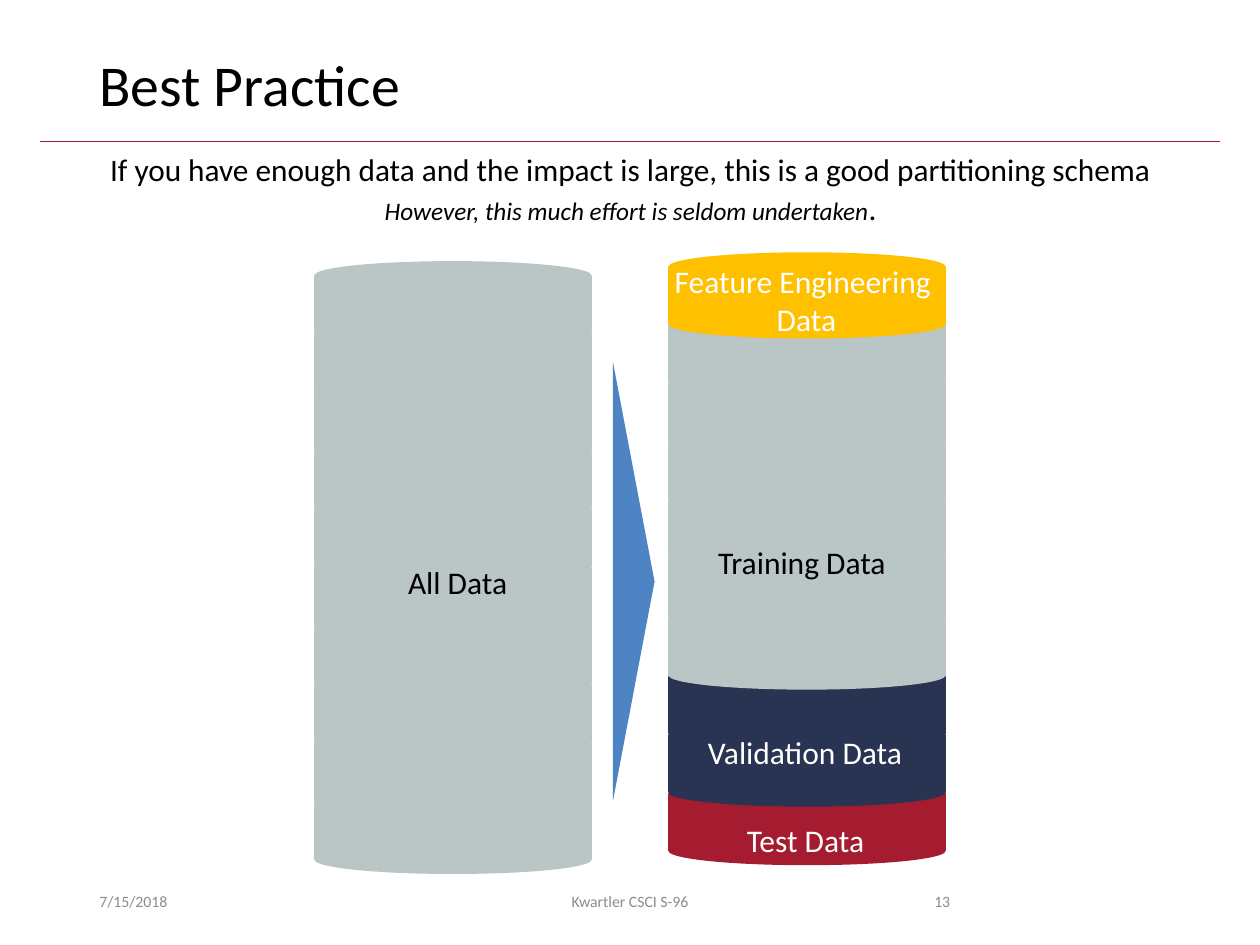
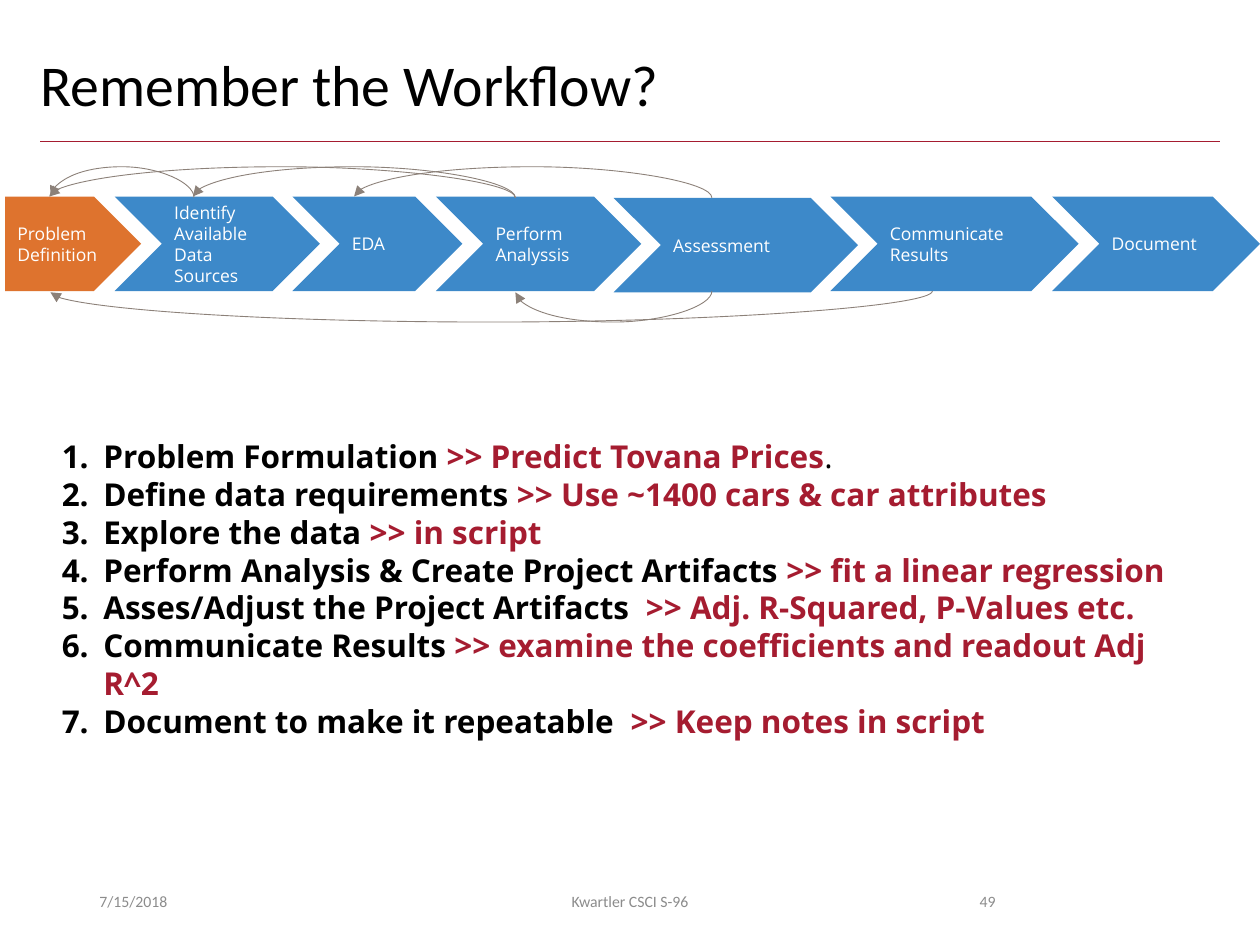
import pptx
import pptx.dml.color
import pptx.enum.shapes
import pptx.enum.text
import pptx.oxml
import pptx.oxml.ns
import pptx.oxml.xmlchemy
import pptx.util

Inches = pptx.util.Inches
Pt = pptx.util.Pt
MSO_SHAPE = pptx.enum.shapes.MSO_SHAPE
MSO_CONNECTOR = pptx.enum.shapes.MSO_CONNECTOR
MSO_ANCHOR = pptx.enum.text.MSO_ANCHOR
MSO_AUTO_SIZE = pptx.enum.text.MSO_AUTO_SIZE
PP_ALIGN = pptx.enum.text.PP_ALIGN
OxmlElement = pptx.oxml.xmlchemy.OxmlElement
qn = pptx.oxml.ns.qn
RGB = pptx.dml.color.RGBColor.from_string

COLOURS = {
    "black": "000000",
    "white": "FFFFFF",
    "crimson": "A51C30",
    "footer": "8C8C8C",
    "data": "BAC5C6",
    "feature": "FFC000",
    "validation": "293352",
    "triangle": "4E84C4",
    "first step": "DE732E",
    "step": "3D89C9",
    "loop": "8C8179",
}


def add_run(paragraph, text, size, colour, font="Calibri", bold=False, italic=False):
    run = paragraph.add_run()
    run.text = text
    run.font.size = Pt(size)
    run.font.name = font
    run.font.bold = bold
    run.font.italic = italic
    run.font.color.rgb = RGB(COLOURS[colour])


def add_label(slide, box, lines, size, colour, align=PP_ALIGN.LEFT, wrap=False):
    """Add a text box with one paragraph per line."""
    label = slide.shapes.add_textbox(*map(Inches, box))
    frame = label.text_frame
    frame.word_wrap = wrap
    if wrap:
        frame.vertical_anchor = MSO_ANCHOR.MIDDLE
    else:
        frame.auto_size = MSO_AUTO_SIZE.SHAPE_TO_FIT_TEXT
    for index, line in enumerate(lines):
        paragraph = frame.paragraphs[0] if index == 0 else frame.add_paragraph()
        paragraph.alignment = align
        add_run(paragraph, line, size, colour)


presentation = pptx.Presentation()
presentation.slide_width = Inches(10)
presentation.slide_height = Inches(7.5)

# Shared frame: title, rule, footer and an unstyled body placeholder
slides = []
for title_text, title_left, title_width, number, number_left, body_box in [
    ("Best Practice", 0.69, 8.62, "13", 6.7, (0.14, 1.22, 9.73, 0.65)),
    ("Remember the Workflow?", 0.22, 9.09, "49", 7.06, (0.22, 3.37, 9.24, 2.29)),
]:
    slide = presentation.slides.add_slide(presentation.slide_layouts[1])
    slides.append(slide)
    title, body = slide.placeholders
    for placeholder, box in [
        (title, (title_left, 0.4, title_width, 0.65)),
        (body, body_box),
    ]:
        placeholder.left, placeholder.top, placeholder.width, placeholder.height = map(Inches, box)
        placeholder.text_frame.auto_size = MSO_AUTO_SIZE.NONE
        placeholder.text_frame.vertical_anchor = MSO_ANCHOR.TOP
    paragraph = title.text_frame.paragraphs[0]
    paragraph.alignment = PP_ALIGN.LEFT
    paragraph.line_spacing = 0.9
    add_run(paragraph, title_text, 33, "black")

    rule = slide.shapes.add_connector(
        MSO_CONNECTOR.STRAIGHT, Inches(0.32), Inches(1.12), Inches(9.68), Inches(1.12)
    )
    rule.line.color.rgb = RGB(COLOURS["crimson"])
    rule.line.width = Pt(0.5)
    rule._element.spPr.append(OxmlElement("a:effectLst"))

    for text, left, width, align in [
        ("7/15/2018", 0.69, 2.25, PP_ALIGN.LEFT),
        ("Kwartler CSCI S-96", 3.31, 3.38, PP_ALIGN.CENTER),
        (number, number_left, 0.94, PP_ALIGN.RIGHT),
    ]:
        add_label(slide, (left, 6.95, width, 0.4), [text], 9, "footer", align, wrap=True)

practice_slide, workflow_slide = slides

# Slide 1: partitioning schema
frame = practice_slide.placeholders[1].text_frame
message = [
    [("If you have enough data and the impact is large, this is a good partitioning schema", 17.9, False)],
    [("However, this much effort is seldom undertaken", 14.4, True), (".", 17.9, False)],
]
for index, runs in enumerate(message):
    paragraph = frame.paragraphs[0] if index == 0 else frame.add_paragraph()
    properties = paragraph._p.get_or_add_pPr()
    properties.set("marL", str(Inches(0.19)))
    properties.set("indent", str(-Inches(0.19)))
    properties.append(OxmlElement("a:buNone"))
    paragraph.alignment = PP_ALIGN.CENTER
    paragraph.line_spacing = 0.7
    paragraph.space_before = Pt(7.5 if index else 0)
    for text, size, italic in runs:
        add_run(paragraph, text, size, "black", italic=italic)

# Disks are stacked from the bottom up
DISK_PITCH = 4.18 / 9
all_data = ["data"] * 10
partitions = ["crimson"] + ["validation"] * 2 + ["data"] * 6 + ["feature"]
for left, bottom_disk_top, disk_colours in [(2.5, 6.26, all_data), (5.31, 6.19, partitions)]:
    for index, colour in enumerate(disk_colours):
        disk = practice_slide.shapes.add_shape(
            MSO_SHAPE.FLOWCHART_MAGNETIC_DISK,
            Inches(left), Inches(bottom_disk_top - index * DISK_PITCH),
            Inches(2.19), Inches(0.67),
        )
        disk.shadow.inherit = False
        disk.fill.solid()
        disk.fill.fore_color.rgb = RGB(COLOURS[colour])
        disk.line.color.rgb = RGB(COLOURS[colour])
        disk.line.width = Pt(1)

triangle = practice_slide.shapes.add_shape(
    MSO_SHAPE.ISOSCELES_TRIANGLE, Inches(3.29), Inches(4.45), Inches(3.48), Inches(0.33)
)
triangle.rotation = 90
triangle.shadow.inherit = False
triangle.fill.solid()
triangle.fill.fore_color.rgb = RGB(COLOURS["triangle"])
triangle.line.fill.background()

for box, lines, colour, align in [
    ((3.14, 4.42, 1, 0.4), ["All Data"], "black", PP_ALIGN.LEFT),
    ((5.24, 2.03, 2.32, 0.71), ["Feature Engineering ", "Data"], "white", PP_ALIGN.CENTER),
    ((5.6, 4.26, 1.61, 0.4), ["Training Data"], "black", PP_ALIGN.LEFT),
    ((5.52, 5.77, 1.76, 0.4), ["Validation Data"], "white", PP_ALIGN.LEFT),
    ((5.83, 6.47, 1.14, 0.4), ["Test Data"], "white", PP_ALIGN.LEFT),
]:
    add_label(practice_slide, box, lines, 18, colour, align)

# Slide 2: workflow steps
for index, (text, left, top, width) in enumerate([
    ("Problem Definition", 0.04, 1.56, 1.08),
    ("Identify Available Data Sources", 0.91, 1.56, 1.63),
    ("EDA", 2.32, 1.56, 1.35),
    ("Perform Analyssis", 3.46, 1.56, 1.63),
    ("Assessment", 4.87, 1.57, 1.94),
    ("Communicate Results", 6.59, 1.56, 1.97),
    ("Document", 8.35, 1.56, 1.65),
]):
    step = workflow_slide.shapes.add_shape(
        MSO_SHAPE.CHEVRON if index else MSO_SHAPE.PENTAGON,
        Inches(left), Inches(top), Inches(width), Inches(0.75),
    )
    step.adjustments[0] = 0.5
    step.shadow.inherit = False
    step.fill.solid()
    step.fill.fore_color.rgb = RGB(COLOURS["step" if index else "first step"])
    step.line.fill.background()
    frame = step.text_frame
    frame.word_wrap = True
    frame.vertical_anchor = MSO_ANCHOR.MIDDLE
    frame.margin_left = frame.margin_right = frame.margin_top = frame.margin_bottom = Inches(0.1)
    frame.paragraphs[0].alignment = PP_ALIGN.LEFT
    add_run(frame.paragraphs[0], text, 10, "white", "Open Sans")

# Feedback loops run right to left; each is a quarter-turned curve that
# bulges away from the steps by a multiple of its thin box
LOOP_THICKNESS = 0.01
LOOP_BULGE = 0.25
for start, end, above in [
    (1.54, 0.4, True),
    (4.09, 1.53, True),
    (4.09, 0.39, True),
    (5.65, 2.81, True),
    (7.4, 0.4, False),
    (5.65, 4.09, False),
]:
    span = start - end
    left = (start + end - LOOP_THICKNESS) / 2
    top = (1.56 if above else 2.31) + (LOOP_THICKNESS - span) / 2
    begin_y, end_y = (top + span, top) if above else (top, top + span)
    loop = workflow_slide.shapes.add_connector(
        MSO_CONNECTOR.CURVE,
        Inches(left), Inches(begin_y), Inches(left + LOOP_THICKNESS), Inches(end_y),
    )
    loop.line.color.rgb = RGB(COLOURS["loop"])
    loop.line.width = Pt(0.5)
    properties = loop._element.spPr
    properties.find(qn("a:xfrm")).set("rot", str((270 if above else 90) * 60000))
    guide = OxmlElement("a:gd")
    guide.set("name", "adj1")
    guide.set("fmla", f"val {round(LOOP_BULGE / LOOP_THICKNESS * 100000)}")
    properties.find(qn("a:prstGeom")).find(qn("a:avLst")).append(guide)
    arrowhead = OxmlElement("a:tailEnd")
    arrowhead.set("type", "triangle")
    properties.find(qn("a:ln")).append(arrowhead)
    properties.append(OxmlElement("a:effectLst"))

frame = workflow_slide.placeholders[1].text_frame
frame.margin_left = frame.margin_right = frame.margin_top = frame.margin_bottom = Inches(0.1)
for index, (task, answer) in enumerate([
    ("Problem Formulation ", ">> Predict Tovana Prices"),
    ("Define data requirements ", ">> Use ~1400 cars & car attributes"),
    ("Explore the data ", ">> in script"),
    ("Perform Analysis & Create Project Artifacts ", ">> fit a linear regression"),
    ("Asses/Adjust the Project Artifacts  ", ">> Adj. R-Squared, P-Values etc."),
    ("Communicate Results ", ">> examine the coefficients and readout Adj R^2"),
    ("Document to make it repeatable  ", ">> Keep notes in script"),
]):
    paragraph = frame.paragraphs[0] if index == 0 else frame.add_paragraph()
    properties = paragraph._p.get_or_add_pPr()
    properties.set("marL", str(Inches(0.5)))
    properties.set("indent", str(-Inches(0.33)))
    numbering = OxmlElement("a:buFont")
    numbering.set("typeface", "+mj-lt")
    numbering.set("typeface", "Open Sans")
    properties.append(numbering)
    numbering = OxmlElement("a:buAutoNum")
    numbering.set("type", "arabicPeriod")
    properties.append(numbering)
    paragraph.space_before = Pt(0)
    add_run(paragraph, task, 18, "black", "Open Sans", bold=True)
    add_run(paragraph, answer, 18, "crimson", "Open Sans", bold=True)
    if index == 0:
        add_run(paragraph, ".", 18, "black", "Open Sans")

presentation.save("out.pptx")
